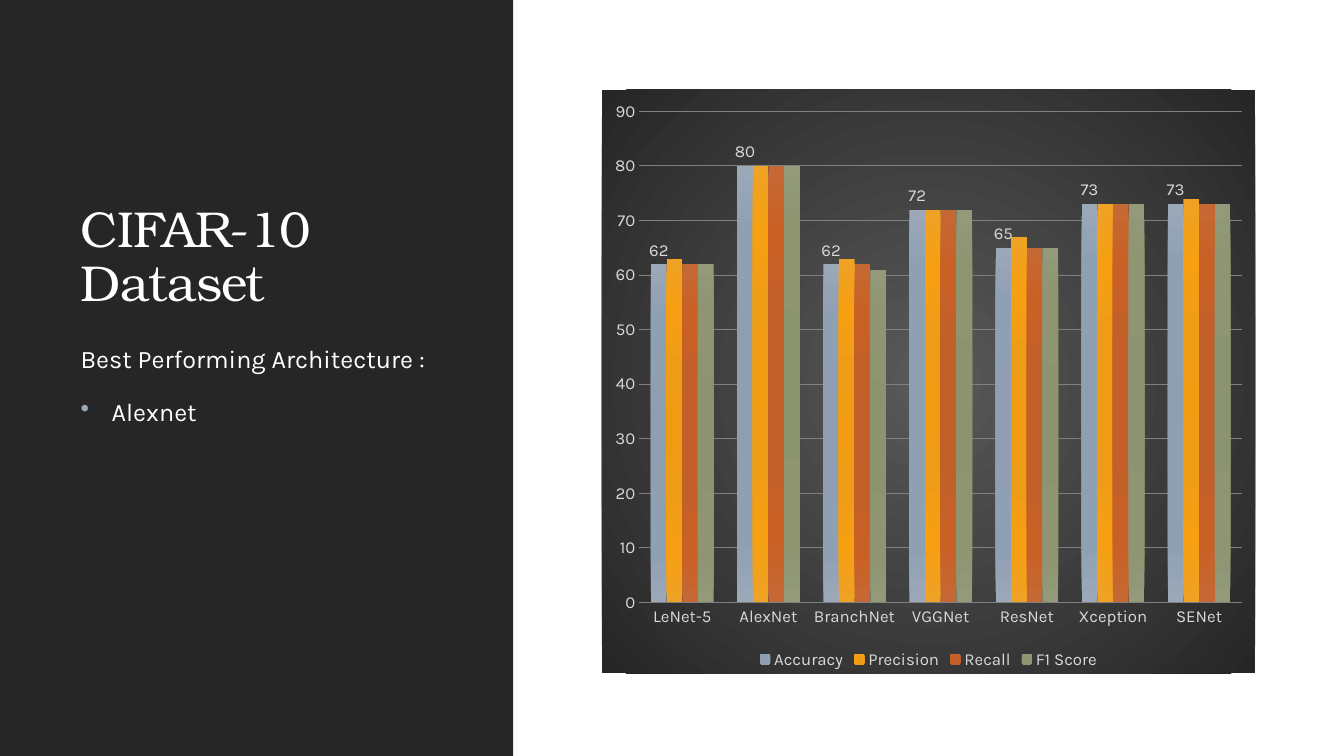
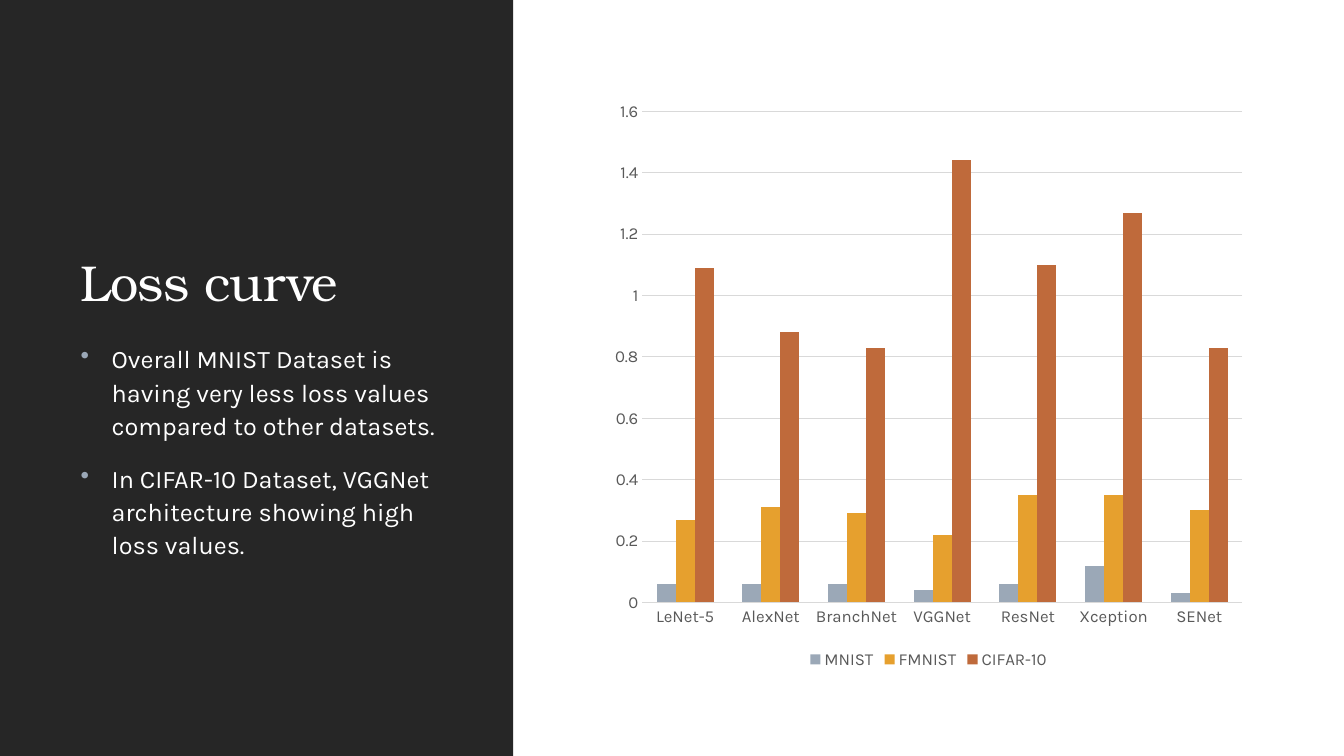
import pptx
import pptx.chart.data
import pptx.dml.color
import pptx.enum.chart
import pptx.enum.shapes
import pptx.enum.text
import pptx.oxml
import pptx.oxml.ns
import pptx.util

Inches = pptx.util.Inches
Pt = pptx.util.Pt
RGB = pptx.dml.color.RGBColor

DARK = RGB(0x26, 0x26, 0x26)
WHITE = RGB(0xFF, 0xFF, 0xFF)
PALE = RGB(0xD9, 0xD9, 0xD9)
GRAY = RGB(0x80, 0x80, 0x80)
SLATE = RGB(0x59, 0x59, 0x59)
STEEL = RGB(0x9B, 0xA8, 0xB7)
AMBER = RGB(0xE6, 0xA0, 0x2E)
RUST = RGB(0xBF, 0x6A, 0x3B)

STOPS = (0, 34, 70, 100)
BLUES = ("8D9CAE", "8F9EB0", "90A0B3", "9AA8B8")
GOLDS = ("F09B11", "EE9C16", "F69F12", "EFA225")
REDS = ("C45D25", "C35F28", "C96025", "C66834")
GREENS = ("8B926D", "8C936F", "8E9570", "939979")

NETS = ("LeNet-5", "AlexNet", "BranchNet", "VGGNet", "ResNet", "Xception", "SENet")
SCORES = (
    ("Accuracy", (62, 80, 62, 72, 65, 73, 73), BLUES),
    ("Precision", (63, 80, 63, 72, 67, 73, 74), GOLDS),
    ("Recall", (62, 80, 62, 72, 65, 73, 73), REDS),
    ("F1 Score", (62, 80, 61, 72, 65, 73, 73), GREENS),
)
LOSSES = (
    ("MNIST", (0.06, 0.06, 0.06, 0.04, 0.06, 0.12, 0.03), STEEL),
    ("FMNIST", (0.27, 0.31, 0.29, 0.22, 0.35, 0.35, 0.3), AMBER),
    ("CIFAR-10", (1.09, 0.88, 0.83, 1.44, 1.1, 1.27, 0.83), RUST),
)


def node(text):
    """Build one XML element with the a: and c: prefixes declared."""
    tag, rest = text.split(">", 1)
    close = "/" if tag.endswith("/") else ""
    spaces = pptx.oxml.ns.nsdecls("a", "c")
    return pptx.oxml.parse_xml(f"{tag.rstrip('/')} {spaces}{close}>{rest}")


def glow(stops, focus):
    """Radial gradient fill that centres on focus, in percent from each edge."""
    marks = "".join(
        f'<a:gs pos="{pos * 1000}"><a:srgbClr val="{color}"/></a:gs>'
        for pos, color in stops
    )
    rect = " ".join(f'{side}="{focus * 1000}"' for side in "ltrb")
    return node(
        f'<a:gradFill rotWithShape="1"><a:gsLst>{marks}</a:gsLst>'
        f'<a:path path="circle"><a:fillToRect {rect}/></a:path></a:gradFill>'
    )


class Deck:
    HEAD = "TeX Gyre Bonum"
    BODY = "Karla"
    LEFT, WIDTH = Inches(0.7), Inches(3.85)

    def __init__(self):
        self.file = pptx.Presentation()
        self.file.slide_width = Inches(13.33)
        self.file.slide_height = Inches(7.5)
        self.slide = None

    def page(self, title):
        """Start a slide with the dark side band and its title."""
        self.slide = self.file.slides.add_slide(self.file.slide_layouts[6])
        band = self.slide.shapes.add_shape(
            pptx.enum.shapes.MSO_SHAPE.RECTANGLE,
            0, 0, Inches(5.09), self.file.slide_height,
        )
        band.shadow.inherit = False
        band.fill.solid()
        band.fill.fore_color.rgb = DARK
        band.line.fill.background()

        frame = self.box(Inches(0.86), Inches(2.29))
        frame.vertical_anchor = pptx.enum.text.MSO_ANCHOR.BOTTOM
        frame.text = title
        para = frame.paragraphs[0]
        para.line_spacing = 0.9
        self.style(para.runs[0].font, 36, WHITE, self.HEAD)
        para.runs[0].font._element.set("spc", "-50")

    def box(self, top, height):
        shape = self.slide.shapes.add_textbox(self.LEFT, top, self.WIDTH, height)
        shape.text_frame.word_wrap = True
        return shape.text_frame

    def style(self, font, size, color, name=BODY):
        font.size = Pt(size)
        font.color.rgb = color
        font.name = name

    def body(self, items, lead=None):
        """Write an optional plain lead line, then the bulleted items."""
        frame = self.box(Inches(3.33), Inches(3.35))
        lines = ([lead] if lead else []) + items
        frame.text = "\n".join(lines)
        for para in frame.paragraphs:
            para.line_spacing = 1.1
            para.space_before = Pt(12)
            para.space_after = Pt(2)
            self.style(para.runs[0].font, 18, WHITE)
            if para.text != lead:
                self.bullet(para)

    def bullet(self, para):
        props = para._p.get_or_add_pPr()
        props.set("marL", str(Inches(0.31)))
        props.set("indent", str(-Inches(0.31)))
        props.append(node(f'<a:buClr><a:srgbClr val="{STEEL}"/></a:buClr>'))
        props.append(node('<a:buChar char="•"/>'))

    def bars(self, rows, top, step, ink, grid):
        """Add a column chart; a row's color is plain or a set of gradient stops."""
        data = pptx.chart.data.CategoryChartData()
        data.categories = NETS
        for name, vals, _ in rows:
            data.add_series(name, vals)
        chart = self.slide.shapes.add_chart(
            pptx.enum.chart.XL_CHART_TYPE.COLUMN_CLUSTERED,
            Inches(5.97), Inches(0.89), Inches(6.48), Inches(5.79), data,
        ).chart
        chart.has_title = False
        self.style(chart.font, 12, ink)

        chart.has_legend = True
        chart.legend.position = pptx.enum.chart.XL_LEGEND_POSITION.BOTTOM
        chart.legend.include_in_layout = False
        self.style(chart.legend.font, 12, ink)

        for axis in (chart.category_axis, chart.value_axis):
            axis.major_tick_mark = pptx.enum.chart.XL_TICK_MARK.NONE
            axis.format.line.fill.background()
            self.style(axis.tick_labels.font, 12, ink)
        scale = chart.value_axis
        scale.minimum_scale, scale.maximum_scale = 0, top
        scale.major_unit = step
        scale.tick_labels.number_format = "General"
        scale.tick_labels.number_format_is_linked = False
        scale.major_gridlines.format.line.color.rgb = grid
        scale.major_gridlines.format.line.width = Pt(0.75)

        plot = chart.plots[0]
        plot.gap_width = 150
        plot.overlap = 0
        plot.vary_by_categories = False
        for series, (_, _, color) in zip(plot.series, rows):
            if isinstance(color, RGB):
                series.format.fill.solid()
                series.format.fill.fore_color.rgb = color
            else:
                props = series._element.get_or_add_spPr()
                props.append(glow(zip(STOPS, color), 100))
        return chart

    def panel(self, chart):
        """Give the chart a dark radial background."""
        props = node("<c:spPr></c:spPr>")
        props.append(glow(((0, SLATE), (100, DARK)), 50))
        props.append(node("<a:ln><a:noFill/></a:ln>"))
        chart.element.find(pptx.oxml.ns.qn("c:chart")).addnext(props)

    def label(self, series, ink):
        tags = series.data_labels
        tags.show_value = True
        tags.position = pptx.enum.chart.XL_LABEL_POSITION.OUTSIDE_END
        self.style(tags.font, 12, ink)


def main():
    deck = Deck()

    deck.page("CIFAR-10 Dataset")
    deck.body(["Alexnet"], lead="Best Performing Architecture :")
    chart = deck.bars(SCORES, 90, 10, PALE, GRAY)
    deck.panel(chart)
    deck.label(chart.plots[0].series[0], PALE)

    deck.page("Loss curve")
    deck.bars(LOSSES, 1.6, 0.2, SLATE, PALE)
    deck.body([
        "Overall MNIST Dataset is having very less loss values compared to other datasets.",
        "In CIFAR-10 Dataset, VGGNet architecture showing high loss values.",
    ])

    deck.file.save("out.pptx")


if __name__ == "__main__":
    main()
